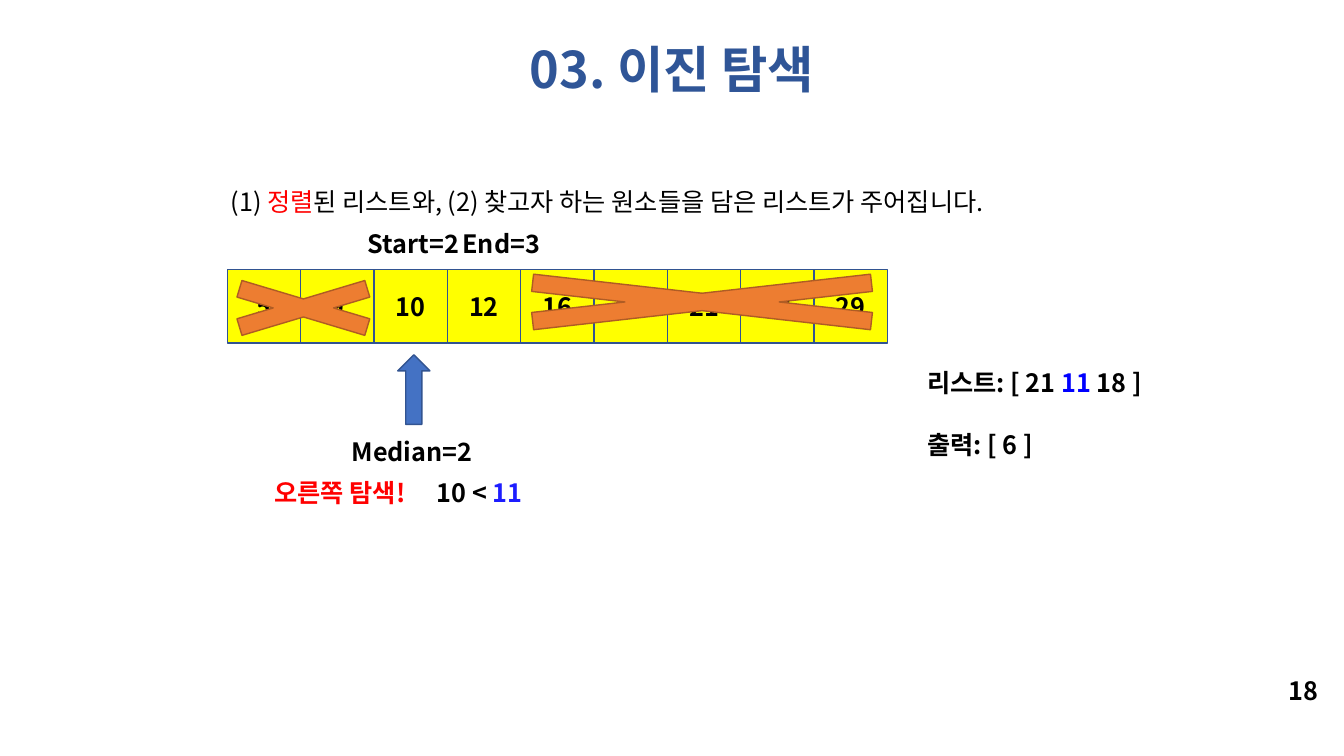
import pptx
import pptx.dml.color
import pptx.enum.shapes
import pptx.enum.text
import pptx.oxml.ns
import pptx.util
import lxml.etree

Pt = pptx.util.Pt
SHAPES = pptx.enum.shapes.MSO_SHAPE
CENTER = pptx.enum.text.PP_ALIGN.CENTER
FONT = "Noto Sans CJK KR"
BLACK, RED, NAVY = "000000", "FF0000", "325491"

deck = pptx.Presentation()
deck.slide_width, deck.slide_height = Pt(960), Pt(540)
slide = deck.slides.add_slide(deck.slide_layouts[6])


def write(frame, pieces, size=18, bold=True, align=None):
    """Fill the first paragraph with (text, colour) pieces."""
    paragraph = frame.paragraphs[0]
    paragraph.alignment = align
    for text, colour in pieces:
        run = paragraph.add_run()
        run.text = text
        run.font.name, run.font.size, run.font.bold = FONT, Pt(size), bold
        run.font.color.rgb = pptx.dml.color.RGBColor.from_string(colour)
        east_asian = lxml.etree.SubElement(run.font._element, pptx.oxml.ns.qn("a:ea"))
        east_asian.set("typeface", FONT)


def draw(kind, left, top, width, height, fill, line):
    shape = slide.shapes.add_shape(kind, Pt(left), Pt(top), Pt(width), Pt(height))
    shape.shadow.inherit = False
    shape.fill.solid()
    shape.fill.fore_color.rgb = pptx.dml.color.RGBColor.from_string(fill)
    shape.line.color.rgb = pptx.dml.color.RGBColor.from_string(line)
    shape.line.width = Pt(1)
    return shape


# Sorted list
cell_size, cell_step = 52.4, 52.4
for index, number in enumerate([5, 9, 10, 12, 16, 18, 21, 27, 29]):
    cell = draw(SHAPES.RECTANGLE, 162.3 + index * cell_step, 192.5,
                cell_size, cell_size, "FFFF00", NAVY)
    cell.text_frame.vertical_anchor = pptx.enum.text.MSO_ANCHOR.MIDDLE
    write(cell.text_frame, [(str(number), BLACK)], align=CENTER)

# Median pointer and the two discarded ranges
draw(SHAPES.UP_ARROW, 284.1, 253.4, 23, 49.7, "4472C4", NAVY)
for left, top, width in [(268.6, 189.4, 465.8), (128.9, 193.7, 175.7)]:
    draw(SHAPES.MATH_MULTIPLY, left, top, width, 52.6, "ED7D31", "AF5C24")

# Title and explanation: left, top, width, height, wrap, pieces, style
explanation = [("(1) ", BLACK), ("정렬", RED),
               ("된 리스트와, (2) 찾고자 하는 원소들을 담은 리스트가 주어집니다.", BLACK)]
texts = [
    (0, 23.8, 960, 51.8, True, [("03. 이진 탐색", "2F5597")], {"size": 36, "align": CENTER}),
    (157.7, 129.6, 802, 29, True, explanation, {"bold": False}),
]

# Short labels, query list, output and page number
for left, top, width, pieces in [
    (255.6, 159.8, 84, [("Start=2", BLACK)]),
    (323.3, 159.8, 72, [("End=3", BLACK)]),
    (244.1, 308.2, 104, [("Median=2", BLACK)]),
    (188.9, 337.3, 118, [("오른쪽 탐색!", RED)]),
    (304.8, 337.3, 84, [("10 < ", BLACK), ("11", "1D1DFF")]),
    (655.2, 258.5, 182.2, [("리스트: [ 21 ", BLACK), ("11", "0000FF"), (" 18 ]", BLACK)]),
    (655.2, 303.1, 98.6, [("출력: [ 6 ]", BLACK)]),
    (913.4, 478.8, 38.2, [("18", BLACK)]),
]:
    texts.append((left, top, width, 29, False, pieces, {}))

for left, top, width, height, wrap, pieces, style in texts:
    frame = slide.shapes.add_textbox(Pt(left), Pt(top), Pt(width), Pt(height)).text_frame
    frame.word_wrap = wrap
    frame.auto_size = pptx.enum.text.MSO_AUTO_SIZE.SHAPE_TO_FIT_TEXT
    write(frame, pieces, **style)

deck.save("out.pptx")
